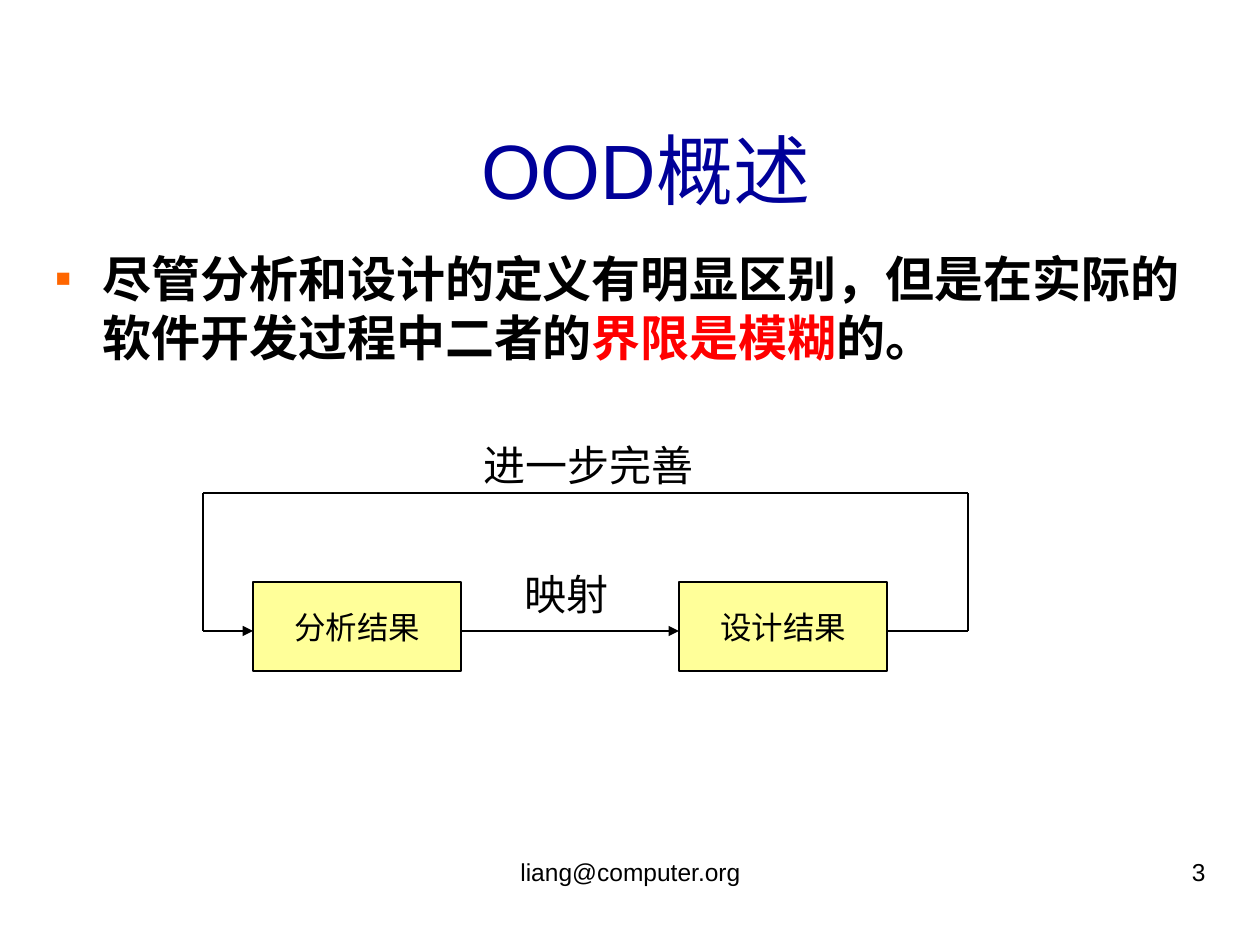
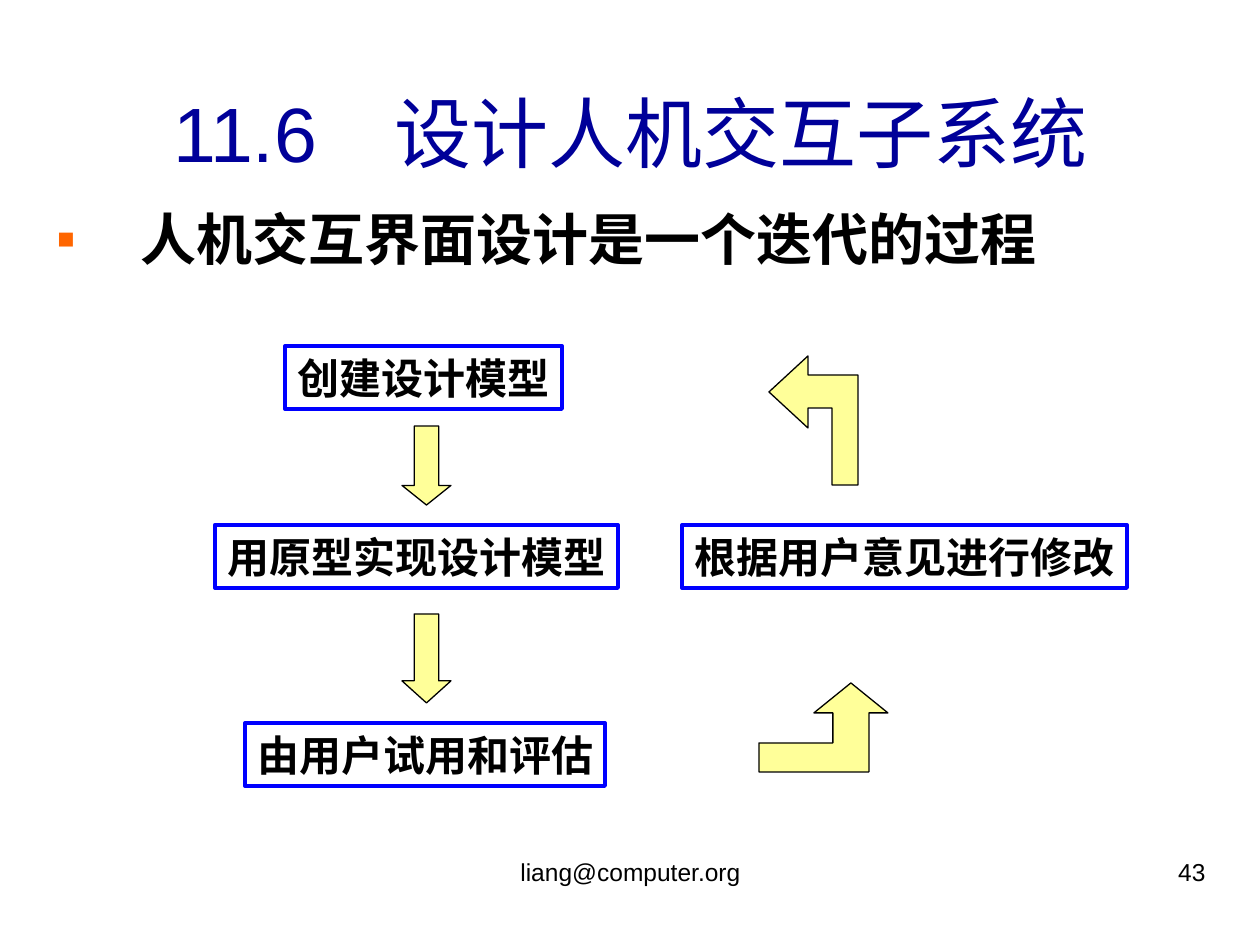
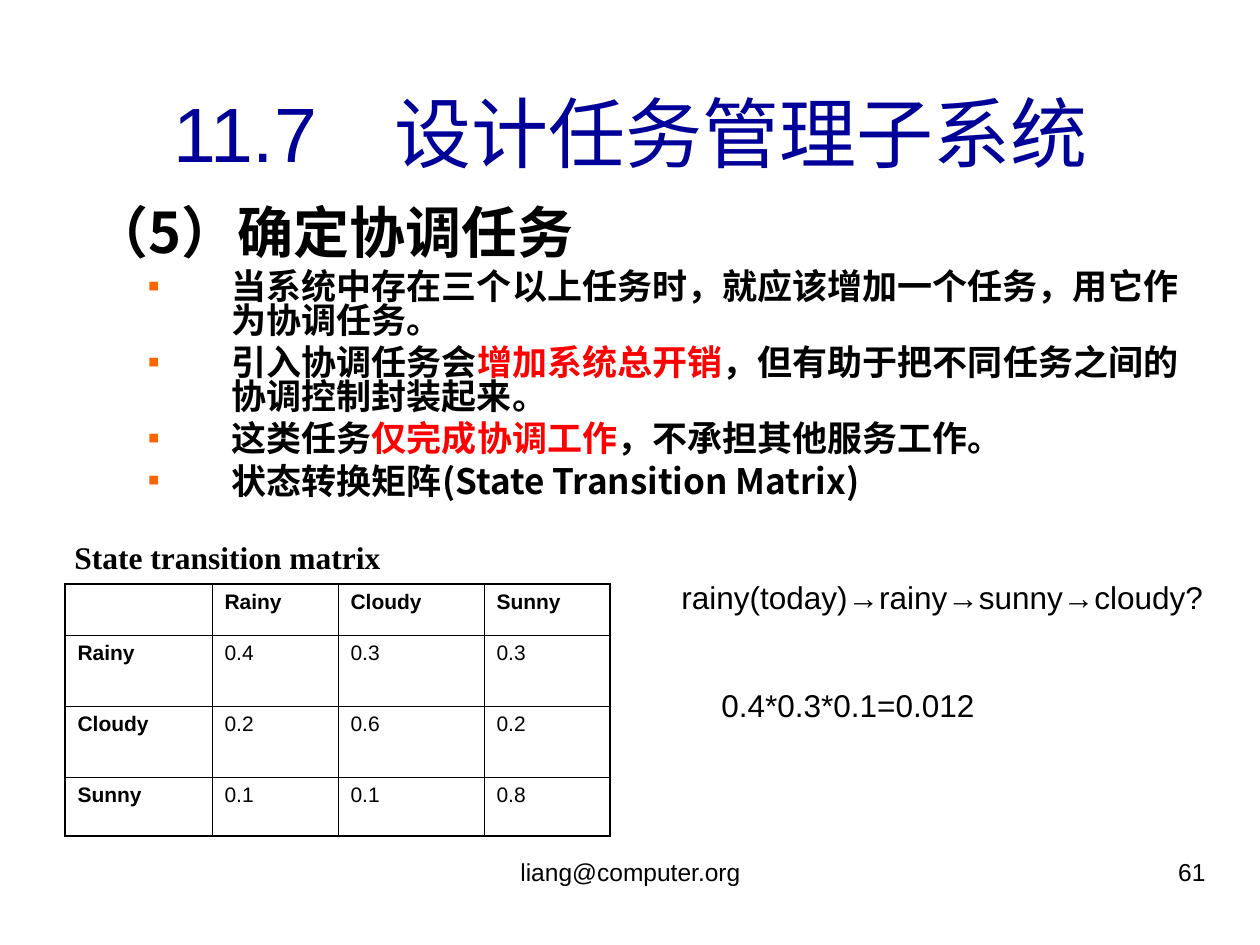
from lxml.etree import SubElement
from pptx import Presentation
from pptx.dml.color import RGBColor
from pptx.enum.shapes import MSO_CONNECTOR, MSO_SHAPE as SHAPE
from pptx.enum.text import MSO_ANCHOR as ANCHOR, MSO_AUTO_SIZE, PP_ALIGN as ALIGN
from pptx.oxml.ns import qn
from pptx.util import Emu, Pt

SCALE = 914400 / 126
COLORS = {"black": "000000", "title": "000099", "red": "FF0000", "bullet": "FF6600",
          "box": "FFFF99", "frame": "0000FF"}
SANS, CJK, SERIF = "Arial", "Noto Sans CJK SC", "Times New Roman"


def px(*values):
    """Turn pixel lengths into a list of EMU lengths."""
    return [Emu(round(v * SCALE)) for v in values]


def rgb(name):
    """Look up a named colour."""
    return RGBColor.from_string(COLORS[name])


def write(p, text, size=18, font=SANS, color="black", bold=False, align=None,
          before=0, spacing=None, level=0, indent=None, bullet=False):
    """Fill a paragraph; the parts between bars are red."""
    p.alignment, p.level = align, level
    p.space_before, p.line_spacing = Pt(before), spacing
    pPr = p._p.get_or_add_pPr()
    if indent:
        left, hanging = px(*indent)
        pPr.set("marL", str(left))
        pPr.set("indent", str(-hanging))
        if bullet:
            clr = SubElement(pPr, qn("a:buClr"))
            SubElement(clr, qn("a:srgbClr"), val=COLORS["bullet"])
            SubElement(pPr, qn("a:buFont"), typeface=SANS)
            SubElement(pPr, qn("a:buChar"), char="▪")
        else:
            SubElement(pPr, qn("a:buNone"))
    for i, part in enumerate(text.split("|")):
        r = p.add_run()
        r.text = part
        r.font.size, r.font.bold, r.font.name = Pt(size), bold, font
        r.font.color.rgb = rgb("red" if i % 2 else color)
        SubElement(r._r.get_or_add_rPr(), qn("a:ea"), typeface=CJK)


class Deck:
    """Hold the presentation, its style and the current slide."""

    def __init__(self):
        """Open a blank 10 by 7.5 inch presentation."""
        self.prs = Presentation()
        self.prs.slide_width, self.prs.slide_height = px(1260, 945)

    def slide(self, title, number, title_at=(42, 53, 1177, 158)):
        """Start a slide with its title and footer."""
        self.current = self.prs.slides.add_slide(self.prs.slide_layouts[1])
        self.shapes = self.current.shapes
        tf = self.place(self.shapes.title, title_at)
        tf.vertical_anchor = ANCHOR.MIDDLE
        write(tf.paragraphs[0], title, size=44, color="title", align=ALIGN.CENTER)
        self.label("liang@computer.org", (431, 851, 399, 65), size=14, align=ALIGN.CENTER)
        self.label(str(number), (903, 851, 315, 65), size=14, align=ALIGN.RIGHT)

    def place(self, sp, at):
        """Move a text holder and return its text frame."""
        sp.left, sp.top, sp.width, sp.height = px(*at)
        tf = sp.text_frame
        tf.word_wrap, tf.auto_size = True, MSO_AUTO_SIZE.NONE
        return tf

    def body(self, at, items):
        """Fill the body placeholder with (text, format) items."""
        tf = self.place(self.current.placeholders[1], at)
        for i, (text, fmt) in enumerate(items):
            write(tf.add_paragraph() if i else tf.paragraphs[0], text, bold=True, **fmt)

    def label(self, text, at, **fmt):
        """Add a text box."""
        tf = self.place(self.shapes.add_textbox(*px(*at)), at)
        write(tf.paragraphs[0], text, **fmt)

    def style(self, sp, fill="box", line="black", width=0.75):
        """Set the fill and outline of a shape."""
        sp.shadow.inherit = False
        if fill:
            sp.fill.solid()
            sp.fill.fore_color.rgb = rgb(fill)
        else:
            sp.fill.background()
        sp.line.color.rgb, sp.line.width = rgb(line), Pt(width)

    def box(self, text, at, anchor=ANCHOR.MIDDLE, look=None, **fmt):
        """Add a rectangle with text."""
        sp = self.shapes.add_shape(SHAPE.RECTANGLE, *px(*at))
        self.style(sp, **(look or {}))
        tf = sp.text_frame
        tf.word_wrap, tf.vertical_anchor = False, anchor
        write(tf.paragraphs[0], text, **fmt)

    def down_arrow(self, at, head):
        """Add a block arrow pointing down."""
        sp = self.shapes.add_shape(SHAPE.DOWN_ARROW, *px(*at))
        sp.adjustments[1] = head
        self.style(sp)

    def outline(self, points):
        """Add a closed polygon."""
        fb = self.shapes.build_freeform(*points[0], scale=SCALE)
        fb.add_line_segments(points[1:], close=True)
        self.style(fb.convert_to_shape())

    def route(self, *points):
        """Join points with lines, ending in an arrowhead."""
        for start, end in zip(points, points[1:]):
            c = self.shapes.add_connector(MSO_CONNECTOR.STRAIGHT, *px(*start, *end))
            c.line.color.rgb, c.line.width = rgb("black"), Pt(0.75)
            if end == points[-1]:
                SubElement(c.line._get_or_add_ln(), qn("a:tailEnd"), type="triangle")
            SubElement(c._element.spPr, qn("a:effectLst"))

    def table(self, at, cols, heights, rows):
        """Add a ruled table with bold first row and column."""
        table = self.shapes.add_table(len(rows), len(cols), *px(*at, sum(cols), sum(heights))).table
        table.first_row = table.horz_banding = False
        for col, width in zip(table.columns, px(*cols)):
            col.width = width
        for row, height in zip(table.rows, px(*heights)):
            row.height = height
        for i, row in enumerate(rows):
            for j, text in enumerate(row):
                cell = table.cell(i, j)
                outer = {"L": j == 0, "R": j == len(cols) - 1, "T": i == 0, "B": i == len(rows) - 1}
                for side, edge in outer.items():
                    self.border(cell, side, 0.96 if edge else 0.45)
                cell.fill.background()
                if text:
                    write(cell.text_frame.paragraphs[0], text, size=12, bold=i == 0 or j == 0)

    def border(self, cell, side, width):
        """Draw one border of a table cell."""
        ln = SubElement(cell._tc.get_or_add_tcPr(), qn("a:ln" + side), w=str(Pt(width)))
        SubElement(SubElement(ln, qn("a:solidFill")), qn("a:srgbClr"), val=COLORS["black"])


def overview(deck):
    """Build the overview of object-oriented design."""
    deck.slide("OOD概述", 3, title_at=(84, 106, 1124, 126))
    deck.body((42, 242, 1177, 151), [
        ("尽管分析和设计的定义有明显区别，但是在实际的软件开发过程中二者的|界限是模糊|的。",
         dict(size=28, before=7, indent=(48, 48), bullet=True))])
    for text, left in (("分析结果", 253), ("设计结果", 679)):
        deck.box(text, (left, 582, 208, 89), align=ALIGN.CENTER)
    deck.route((461, 631), (679, 631))
    deck.route((888, 631), (968, 631), (968, 493), (203, 493), (203, 631), (253, 631))
    deck.label("映射", (512, 562, 118, 63), size=24)
    deck.label("进一步完善", (471, 433, 297, 63), size=24)


def interaction(deck):
    """Build the iterative interface design cycle."""
    deck.slide("11.6　设计人机交互子系统", 43)
    deck.body((44, 185, 1177, 655), [
        ("人机交互界面设计是一个迭代的过程",
         dict(size=32, font=CJK, before=8, spacing=1.2, indent=(84, 84), bullet=True))])
    steps = [("创建设计模型", 285, 346, 277), ("用原型实现设计模型", 215, 525, 403),
             ("由用户试用和评估", 245, 723, 360), ("根据用户意见进行修改", 682, 525, 445)]
    for text, left, top, width in steps:
        deck.box(text, (left, top, width, 63), anchor=ANCHOR.TOP, size=24, bold=True,
                 align=ALIGN.LEFT, look=dict(fill=None, line="frame", width=2.25))
    deck.down_arrow((402, 426, 49, 79), 0.4)
    deck.down_arrow((402, 614, 49, 89), 0.45)
    deck.outline([(769, 392), (808, 428), (808, 408), (832, 408), (832, 485),
                  (858, 485), (858, 375), (808, 375), (808, 356)])
    deck.outline([(851, 683), (814, 713), (833, 713), (833, 743), (759, 743),
                  (759, 772), (869, 772), (869, 713), (888, 713)])


def coordination(deck):
    """Build the coordinating task slide with its matrix."""
    deck.slide("11.7　设计任务管理子系统", 61)
    shared = dict(font=CJK, spacing=0.8)
    head = dict(shared, size=32, before=8, level=1, indent=(139, 84))
    point = dict(shared, size=20, before=5, level=2, indent=(194, 84), bullet=True)
    points = ["当系统中存在三个以上任务时，就应该增加一个任务，用它作为协调任务。",
              "引入协调任务会|增加系统总开销|，但有助于把不同任务之间的协调控制封装起来。",
              "这类任务|仅完成协调工作|，不承担其他服务工作。",
              "状态转换矩阵(State Transition Matrix)"]
    deck.body((25, 204, 1177, 310),
              [("（5）确定协调任务", head)] + [(text, point) for text in points])
    deck.label("State transition matrix", (62, 532, 420, 50), font=SERIF, bold=True)
    deck.table((65, 584), (147, 126, 146, 126), (50, 71, 71, 59), [
        ("", "Rainy", "Cloudy", "Sunny"),
        ("Rainy", "0.4", "0.3", "0.3"),
        ("Cloudy", "0.2", "0.6", "0.2"),
        ("Sunny", "0.1", "0.1", "0.8")])
    deck.label("rainy(today)→rainy→sunny→cloudy?", (669, 572, 556, 50))
    deck.label("0.4*0.3*0.1=0.012", (709, 680, 446, 50))


def main():
    """Build and save the slides."""
    deck = Deck()
    for build in (overview, interaction, coordination):
        build(deck)
    deck.prs.save("out.pptx")


if __name__ == "__main__":
    main()
